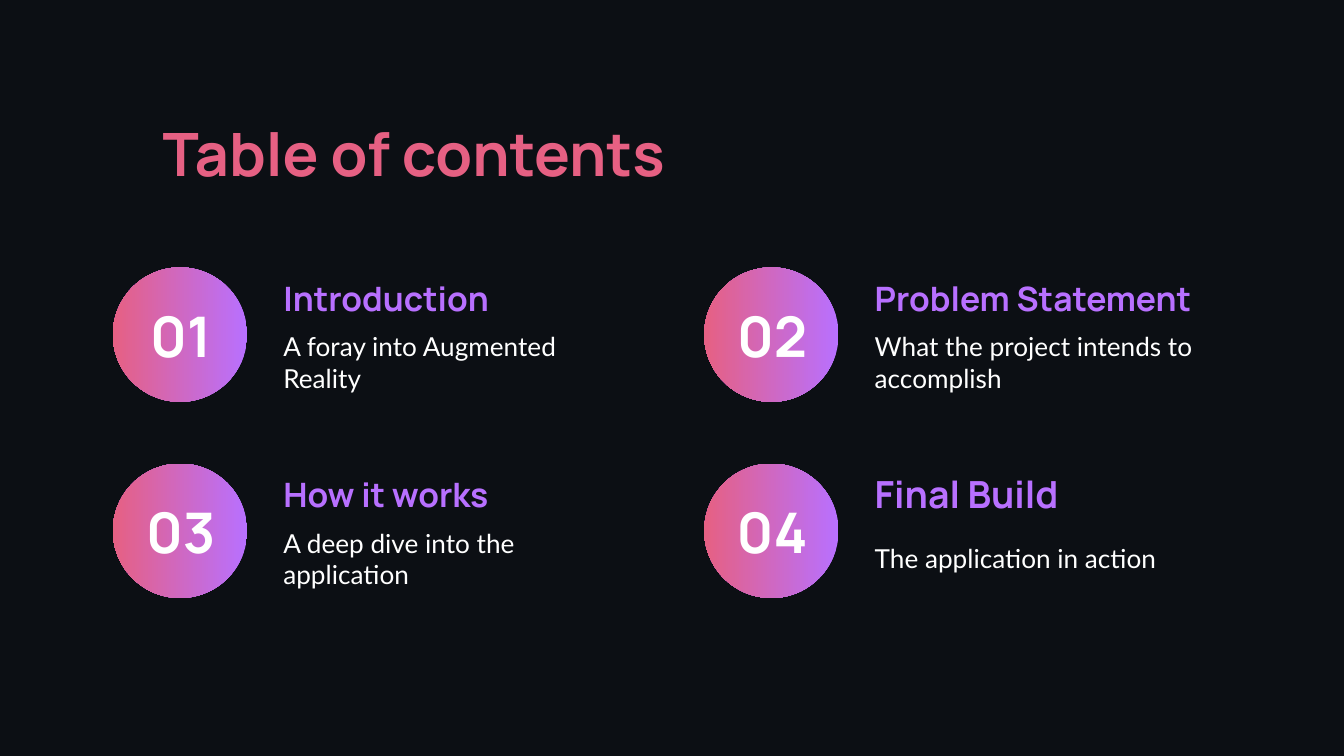
from pptx import Presentation, util as u
from pptx.dml.color import RGBColor
from pptx.enum import shapes, text

# Content: number, heading, heading size, description
TITLE = "Table of contents"
ITEMS = [
    ("01", "Introduction", 18, "A foray into Augmented Reality"),
    ("02", "Problem Statement", 18, "What the project intends to accomplish"),
    ("03", "How it works", 18, "A deep dive into the application"),
    ("04", "Final Build", 20, "The application in action"),
]

DARK = RGBColor(0x0C, 0x0F, 0x14)
PINK = RGBColor(0xE6, 0x60, 0x83)
PURPLE = RGBColor(0xB8, 0x70, 0xFF)
WHITE = RGBColor(0xFF, 0xFF, 0xFF)

# 16:9 slide and grid, in inches
SLIDE_W = 10
SLIDE_H = SLIDE_W * 9 / 16
COLS = 2
LEFT, TOP = 0.84, 1.99
COL_STEP, ROW_STEP = 4.4, 1.46
CIRCLE = 1
TEXT_DX, TEXT_W = 1.17, 2.75


def box(*lengths):
    return [u.Inches(v) for v in lengths]


def write(sp, words, size, font, color, bold=True, center=False, inset=0.1):
    tf = sp.text_frame
    tf.text = words
    tf.word_wrap = True
    tf.auto_size = text.MSO_AUTO_SIZE.NONE
    tf.vertical_anchor = text.MSO_ANCHOR.MIDDLE
    tf.margin_left = tf.margin_right = u.Inches(inset)
    tf.margin_top = tf.margin_bottom = u.Inches(inset)
    p = tf.paragraphs[0]
    p.alignment = text.PP_ALIGN.CENTER if center else text.PP_ALIGN.LEFT
    p.font.name, p.font.size, p.font.bold = font, u.Pt(size), bold
    p.font.color.rgb = color


def add_circle(s, x, y):
    sp = s.shapes.add_shape(shapes.MSO_SHAPE.OVAL, *box(x, y, CIRCLE, CIRCLE))
    sp.shadow.inherit = False
    sp.line.fill.background()
    sp.fill.gradient()
    sp.fill.gradient_angle = 180
    for stop, color in zip(sp.fill.gradient_stops, (PURPLE, PINK)):
        stop.color.rgb = color


prs = Presentation()
prs.slide_width, prs.slide_height = box(SLIDE_W, SLIDE_H)
s = prs.slides.add_slide(prs.slide_layouts[5])
s.background.fill.solid()
s.background.fill.fore_color.rgb = DARK

# Title
title = s.shapes.title
title.left, title.top, title.width, title.height = box(1.11, 0.82, 8.11, 0.63)
write(title, TITLE, 32, "Manrope", PINK)

# Numbered entries, row by row
for i, (number, heading, size, description) in enumerate(ITEMS):
    row, col = divmod(i, COLS)
    x, y = LEFT + col * COL_STEP, TOP + row * ROW_STEP
    add_circle(s, x, y)
    sp = s.shapes.add_textbox(*box(x + 0.1, y + 0.32, 0.81, 0.37))
    write(sp, number, 30, "Manrope", WHITE, center=True, inset=0)
    sp = s.shapes.add_textbox(*box(x + TEXT_DX, y + 0.07, TEXT_W, 0.31))
    write(sp, heading, size, "Manrope", PURPLE)
    sp = s.shapes.add_textbox(*box(x + TEXT_DX, y + 0.52, TEXT_W, 0.37))
    write(sp, description, 14, "Lato", WHITE, bold=False)

prs.save("out.pptx")
